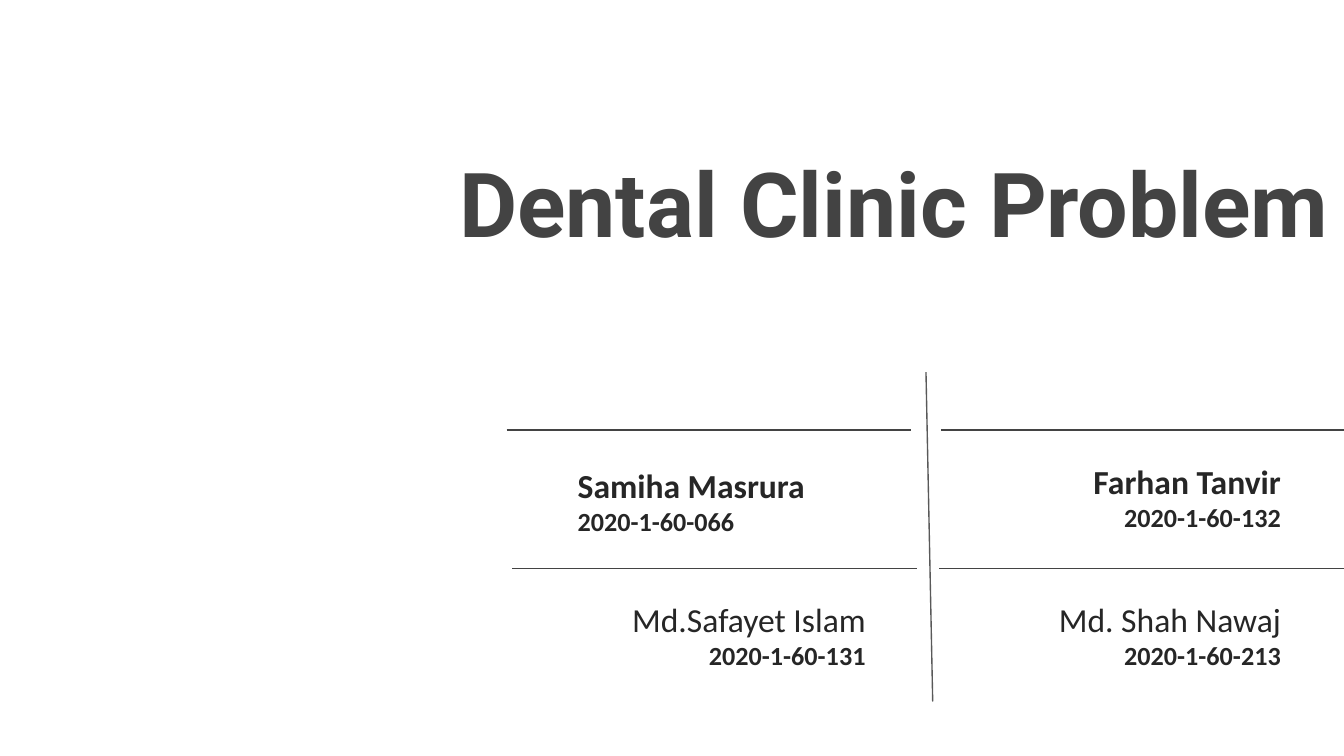
from lxml import etree
from pptx import Presentation
from pptx.dml.color import RGBColor
from pptx.enum import shapes, text
from pptx.oxml import ns
from pptx.util import Inches, Pt

WHITE = RGBColor(0xFF, 0xFF, 0xFF)
GREY = RGBColor(0x43, 0x43, 0x43)
MID = RGBColor(0x59, 0x59, 0x59)
INK = RGBColor(0x26, 0x26, 0x26)
LEFT, RIGHT = text.PP_ALIGN.LEFT, text.PP_ALIGN.RIGHT


def write(para, words, size=18, font="Calibri", color=INK, bold=True, align=RIGHT):
    """Put one formatted run into a paragraph."""
    para.alignment = align
    run = para.add_run()
    run.text = words
    run.font.size = Pt(size)
    run.font.name = font
    run.font.color.rgb = color
    run.font.bold = bold


def frame(slide, box, inset=(0.1, 0.05), anchor=text.MSO_ANCHOR.TOP):
    """Add a wrapping text box and return its text frame."""
    body = slide.shapes.add_textbox(*map(Inches, box)).text_frame
    body.word_wrap = True
    body.vertical_anchor = anchor
    body.margin_left = body.margin_right = Inches(inset[0])
    body.margin_top = body.margin_bottom = Inches(inset[1])
    return body


def rule(slide, x, y, wide=0, high=0, color=GREY):
    """Draw a thin line from a start point."""
    ends = map(Inches, (x, y, x + wide, y + high))
    line = slide.shapes.add_connector(shapes.MSO_CONNECTOR.STRAIGHT, *ends)
    line.line.color.rgb = color
    line.line.width = Pt(0.75)
    etree.SubElement(line._element.spPr, ns.qn("a:effectLst"))


def title(slide, box):
    """Place the slide title at the foot of its box."""
    body = frame(slide, box, (0.1, 0.1), text.MSO_ANCHOR.BOTTOM)
    write(body.paragraphs[0], "Dental Clinic Problem", size=48, font="Roboto", color=GREY)


def member(slide, box, name, code, bold=True, align=RIGHT):
    """Place a name above its student number."""
    body = frame(slide, box)
    body.auto_size = text.MSO_AUTO_SIZE.SHAPE_TO_FIT_TEXT
    write(body.paragraphs[0], name, bold=bold, align=align)
    write(body.add_paragraph(), code, size=14, align=align)


def team(slide, box):
    """Place the four members and the lines between them."""
    x, y, wide, high = box
    for dx, dy in ((0, 0.43), (0.04, 1.46), (3.23, 0.43), (3.22, 1.46)):
        rule(slide, x + dx, y + dy, wide=3.01)
    rule(slide, x + wide / 2, y, wide=0.05, high=high, color=MID)
    people = (
        (0.43, 0.64, 2.34, "Samiha Masrura", "2020-1-60-066", True, LEFT),
        (3.62, 0.61, 2.24, "Farhan Tanvir", "2020-1-60-132", True, RIGHT),
        (0.32, 1.64, 2.45, "Md.Safayet Islam", "2020-1-60-131", False, RIGHT),
        (3.62, 1.64, 2.24, "Md. Shah Nawaj", "2020-1-60-213", False, RIGHT),
    )
    for dx, dy, span, *who in people:
        member(slide, (x + dx, y + dy, span, 0.64), *who)


def main():
    """Build and save the slide."""
    deck = Presentation()
    deck.slide_width = Inches(10)
    deck.slide_height = Inches(10) * 9 // 16
    slide = deck.slides.add_slide(deck.slide_layouts[6])
    slide.background.fill.solid()
    slide.background.fill.fore_color.rgb = WHITE
    title(slide, (2.46, 0.05, 7.53, 1.95))
    team(slide, (3.77, 2.77, 6.24, 2.45))
    deck.save("out.pptx")


if __name__ == "__main__":
    main()
